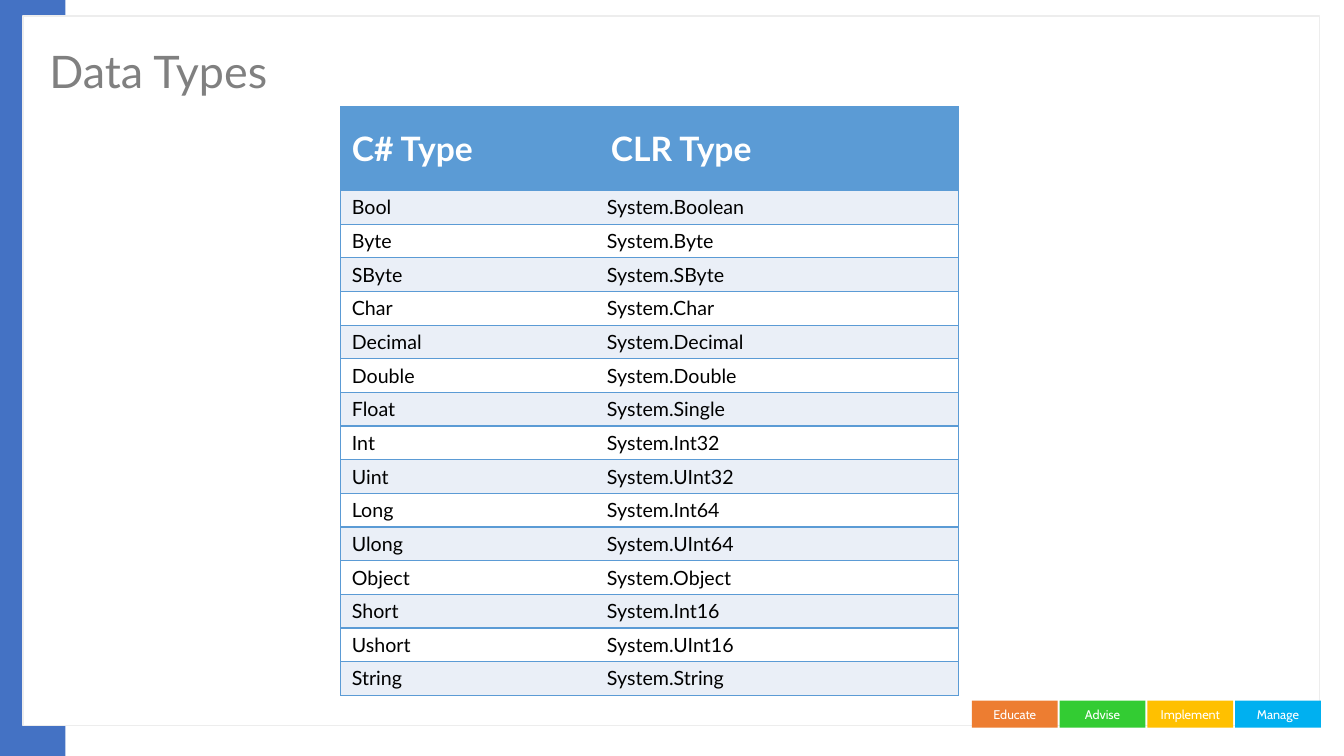
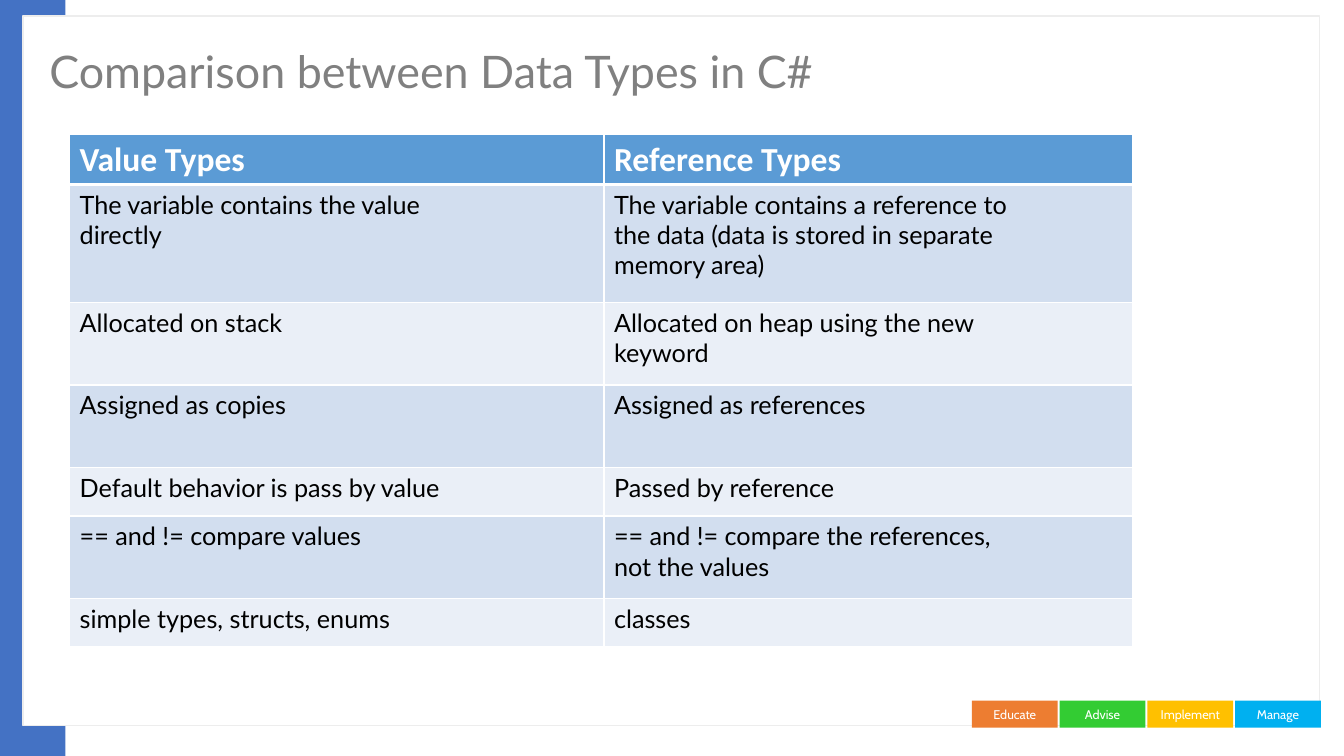
from lxml.etree import SubElement as Sub
from pptx import Presentation
from pptx.dml.color import RGBColor as RGB
from pptx.enum.shapes import MSO_SHAPE as Shape
from pptx.enum.text import MSO_ANCHOR as Anchor, PP_ALIGN as Align
from pptx.oxml.ns import qn
from pptx.util import Emu, Pt

COLORS = {
    "band": "4472C4", "frame": "EDEDED", "white": "FFFFFF", "black": "000000",
    "title": "808080", "head": "5B9BD5", "pale": "EAEFF7", "mid": "D2DEEF",
    "orange": "ED7D31", "green": "33CC33", "gold": "FFC000", "sky": "00B0F0",
}
TAGS = [("Educate", "orange"), ("Advise", "green"),
        ("Implement", "gold"), ("Manage", "sky")]
PLAIN = "{2D5ABB26-0587-4C30-8999-92F81FD0307C}"

TYPES = [
    ("C# Type", "CLR Type"),
    ("Bool", "System.Boolean"),
    ("Byte", "System.Byte"),
    ("SByte", "System.SByte"),
    ("Char", "System.Char"),
    ("Decimal", "System.Decimal"),
    ("Double", "System.Double"),
    ("Float", "System.Single"),
    ("Int", "System.Int32"),
    ("Uint", "System.UInt32"),
    ("Long", "System.Int64"),
    ("Ulong", "System.UInt64"),
    ("Object", "System.Object"),
    ("Short", "System.Int16"),
    ("Ushort", "System.UInt16"),
    ("String", "System.String"),
]
KINDS = [
    ("Value Types", "Reference Types"),
    ("The variable contains the value\ndirectly",
     "The variable contains a reference to\n"
     "the data (data is stored in separate\nmemory area)"),
    ("Allocated on stack", "Allocated on heap using the new\nkeyword"),
    ("Assigned as copies", "Assigned as references"),
    ("Default behavior is pass by value", "Passed by reference"),
    ("== and != compare values",
     "== and != compare the references,\nnot the values"),
    ("simple types, structs, enums", "classes"),
]


def px(n):
    return Emu(n * 9144)


def rgb(name):
    return RGB.from_string(COLORS[name])


class Deck:
    def __init__(self):
        self.prs = Presentation()
        self.prs.slide_width = px(1333)
        self.prs.slide_height = px(750)
        self.slide = None

    def page(self, title):
        self.slide = self.prs.slides.add_slide(self.prs.slide_layouts[6])
        self.rect(0, 0, 65, 750, "band")
        self.rect(23, 16, 1286, 704, "white", "frame")
        for i, (text, color) in enumerate(TAGS):
            self.tag(964 + 87 * i, text, color)
        self.title(title)

    def style(self, frame, size, color, font, bold=False):
        for para in frame.paragraphs:
            for run in para.runs:
                run.font.size = Pt(size)
                run.font.name = font
                run.font.bold = bold
                run.font.color.rgb = rgb(color)

    def rect(self, x, y, w, h, fill, line=None):
        box = self.slide.shapes.add_shape(
            Shape.RECTANGLE, px(x), px(y), px(w), px(h))
        box.shadow.inherit = False
        box.fill.solid()
        box.fill.fore_color.rgb = rgb(fill)
        if line:
            box.line.color.rgb = rgb(line)
            box.line.width = Pt(1)
        else:
            box.line.fill.background()
        return box

    def tag(self, x, text, color):
        frame = self.rect(x, 695, 85, 27, color).text_frame
        frame.text = text
        frame.vertical_anchor = Anchor.MIDDLE
        frame.paragraphs[0].alignment = Align.CENTER
        self.style(frame, 9, "white", "Cabin")

    def title(self, text):
        box = self.slide.shapes.add_textbox(px(39), px(30), px(1032), px(87))
        frame = box.text_frame
        frame.word_wrap = True
        frame.vertical_anchor = Anchor.MIDDLE
        frame.text = text
        frame.paragraphs[0].line_spacing = 0.9
        self.style(frame, 32, "title", "Lato")

    def table(self, x, y, cols, rows, data):
        obj = self.slide.shapes.add_table(
            len(rows), len(cols), px(x), px(y), px(sum(cols)), px(sum(rows)))
        grid = obj.table
        grid.first_row = grid.horz_banding = False
        grid._tbl.tblPr.find(qn("a:tableStyleId")).text = PLAIN
        for col, w in zip(grid.columns, cols):
            col.width = px(w)
        for row, h, texts in zip(grid.rows, rows, data):
            row.height = px(h)
            for cell, text in zip(row.cells, texts):
                cell.text_frame.text = text
        return grid

    def cell(self, cell, fill, pad, size, color, font, bold=False):
        cell.fill.solid()
        cell.fill.fore_color.rgb = rgb(fill)
        cell.margin_left = px(pad)
        cell.margin_right = px(pad)
        cell.margin_top = cell.margin_bottom = px(5)
        self.style(cell.text_frame, size, color, font, bold)

    def edge(self, cell, color, **sides):
        props = cell._tc.get_or_add_tcPr()
        for side in "LRTB":
            if side in sides:
                line = Sub(props, qn("a:ln" + side), w=str(Pt(sides[side])))
                fill = Sub(line, qn("a:solidFill"))
                Sub(fill, qn("a:srgbClr"), val=COLORS[color])

    def types(self):
        self.page("Data Types")
        grid = self.table(338, 106, [253, 360], [83] + [33] * 15, TYPES)
        for i, row in enumerate(grid.rows):
            left, right = row.cells
            self.edge(left, "head", L=1, T=1, B=1)
            self.edge(right, "head", R=1, T=1, B=1)
            for cell in row.cells:
                if i == 0:
                    cell.vertical_anchor = Anchor.MIDDLE
                    self.cell(cell, "head", 11, 24, "white", "Lato", True)
                else:
                    fill = "pale" if i % 2 else "white"
                    self.cell(cell, fill, 11, 14, "black", "Lato")
        grid.cell(0, 1).margin_left = px(15)

    def kinds(self):
        self.page("Comparison between Data Types in C#")
        rows = [50, 117, 82, 82, 48, 82, 48]
        grid = self.table(69, 133, [530, 524], rows, KINDS)
        for i, row in enumerate(grid.rows):
            for cell in row.cells:
                top, low = 3 if i == 1 else 1, 3 if i == 0 else 1
                self.edge(cell, "white", L=1, R=1, T=top, B=low)
                if i == 0:
                    self.cell(cell, "head", 10, 24, "white", "Calibri", True)
                else:
                    fill = "mid" if i % 2 else "pale"
                    self.cell(cell, fill, 10, 18, "black", "Lato")


def main():
    deck = Deck()
    deck.types()
    deck.kinds()
    deck.prs.save("out.pptx")


if __name__ == "__main__":
    main()
